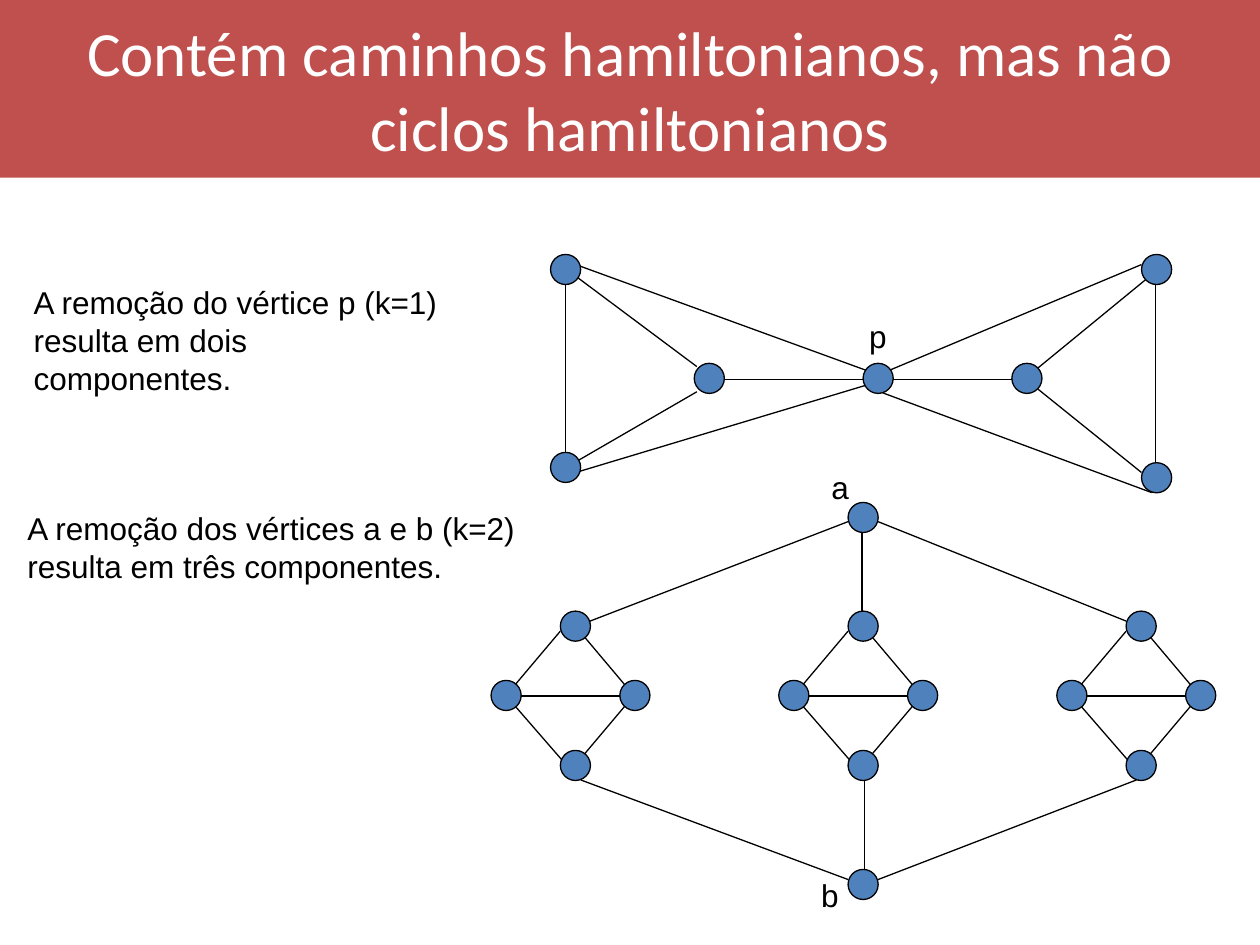
"""Build a slide with two graphs that have Hamiltonian paths but no Hamiltonian cycles."""
from dataclasses import dataclass

from pptx import Presentation
from pptx.dml.color import RGBColor
from pptx.enum.shapes import MSO_CONNECTOR, MSO_SHAPE
from pptx.enum.text import MSO_ANCHOR, MSO_AUTO_SIZE, PP_ALIGN
from pptx.oxml.xmlchemy import OxmlElement
from pptx.util import Pt


@dataclass(frozen=True)
class Theme:
    banner: RGBColor = RGBColor(0xC0, 0x50, 0x4D)
    vertex: RGBColor = RGBColor(0x4F, 0x81, 0xBD)
    ink: RGBColor = RGBColor(0, 0, 0)
    title_ink: RGBColor = RGBColor(0xFF, 0xFF, 0xFF)
    title_font: str = "Calibri"
    body_font: str = "Arial"
    title_size: float = 36
    body_size: float = 18
    line_width: float = 0.74
    vertex_size: float = 17.2


THEME = Theme()

BOW_VERTICES = [
    (314.6, 145.4), (314.6, 258.5), (396.7, 207.6), (493.2, 207.6),
    (578.2, 207.6), (652.3, 145.4), (652.3, 264.4),
]
BOW_EDGES = [
    (323.2, 162, 323.2, 264.2), (329.8, 158.4, 398.2, 209.5),
    (329.8, 263.5, 398.2, 223.9), (414, 216.7, 493.2, 216.7),
    (510.5, 216.7, 578.2, 216.7), (589.7, 213.1, 658.1, 157),
    (593.3, 222.5, 652.3, 270), (660.2, 162, 660.2, 270),
    (499, 218.9, 329, 270), (329, 151.2, 499, 213.1),
    (652.3, 151.2, 504.7, 213.1), (504.7, 224.6, 658.1, 281.5),
]
DIAMOND_LEFTS = [320.2, 484.6, 643.5]
DIAMOND_VERTICES = [(0, 349.2), (-39.6, 388.8), (34, 388.8), (0, 428.8)]
DIAMOND_EDGES = [
    (0, 360.7, -28.6, 394.6), (11, 360.7, 39.6, 394.6),
    (39.6, 400.3, 11, 434.2), (5.8, 439.9, -28.6, 400.3),
    (-28.6, 397.8, 34, 397.8),
]
HUB_VERTICES = [(484.6, 287.1), (484.6, 496.8)]
HUB_EDGES = [
    (484.6, 298.1, 337, 355), (501.8, 298.1, 643.7, 355),
    (484.6, 502.6, 331.9, 445.7), (501.8, 502.6, 649.4, 445.7),
    (493.9, 496.8, 493.9, 445.7), (492.5, 355, 492.5, 303.8),
]
TEXTS = [
    ((489.6, 177.8, 24.5, 28.8), ["p"]),
    ((468, 264.2, 24.5, 28.8), ["a"]),
    ((462.2, 496.8, 24.5, 28.8), ["b"]),
    ((12.2, 158.4, 254.2, 50.4),
     ["A remoção do vértice p (k=1)", "resulta em dois componentes."]),
    ((8.6, 287.3, 293.8, 50.4),
     ["A remoção dos vértices a e b (k=2)", "resulta em três componentes."]),
]


def apply_format(target, values):
    """Set each named attribute on the target."""
    for name, value in values.items():
        setattr(target, name, value)


def write_paragraph(paragraph, text, size, font, color):
    """Write one formatted run into a paragraph."""
    run = paragraph.add_run()
    run.text = text
    apply_format(run.font, {"size": Pt(size), "name": font})
    run.font.color.rgb = color


def fill_title(slide, text):
    """Turn the title placeholder into the banner."""
    title = slide.shapes.title
    apply_format(title, {"left": Pt(0), "top": Pt(0), "width": Pt(720), "height": Pt(101.5)})
    title.fill.solid()
    title.fill.fore_color.rgb = THEME.banner
    frame = title.text_frame
    apply_format(frame, {"vertical_anchor": MSO_ANCHOR.MIDDLE, "word_wrap": True,
                         "auto_size": MSO_AUTO_SIZE.NONE})
    paragraph = frame.paragraphs[0]
    paragraph.alignment = PP_ALIGN.CENTER
    write_paragraph(paragraph, text, THEME.title_size, THEME.title_font, THEME.title_ink)


def style_line(line):
    """Give a line the graph's ink and width."""
    line.color.rgb = THEME.ink
    line.width = Pt(THEME.line_width)


def add_edge(slide, ends):
    """Draw a straight edge between two points."""
    edge = slide.shapes.add_connector(MSO_CONNECTOR.STRAIGHT, *map(Pt, ends))
    style_line(edge.line)
    edge._element.spPr.append(OxmlElement("a:effectLst"))


def add_vertex(slide, left, top):
    """Draw a round vertex."""
    size = Pt(THEME.vertex_size)
    vertex = slide.shapes.add_shape(MSO_SHAPE.OVAL, Pt(left), Pt(top), size, size)
    vertex.shadow.inherit = False
    vertex.fill.solid()
    vertex.fill.fore_color.rgb = THEME.vertex
    style_line(vertex.line)


def add_graph(slide, vertices, edges, offset=0):
    """Draw edges, then vertices, moved right by the offset."""
    for x1, y1, x2, y2 in edges:
        add_edge(slide, (x1 + offset, y1, x2 + offset, y2))
    for left, top in vertices:
        add_vertex(slide, left + offset, top)


def add_text(slide, box, lines):
    """Add an unwrapped text box with one paragraph per line."""
    frame = slide.shapes.add_textbox(*map(Pt, box)).text_frame
    apply_format(frame, {"word_wrap": False, "auto_size": MSO_AUTO_SIZE.SHAPE_TO_FIT_TEXT})
    for index, text in enumerate(lines):
        paragraph = frame.add_paragraph() if index else frame.paragraphs[0]
        write_paragraph(paragraph, text, THEME.body_size, THEME.body_font, THEME.ink)


def main():
    """Build and save the slide."""
    presentation = Presentation()
    apply_format(presentation, {"slide_width": Pt(720), "slide_height": Pt(540)})
    slide = presentation.slides.add_slide(presentation.slide_layouts[5])
    fill_title(slide, "Contém caminhos hamiltonianos, mas não ciclos hamiltonianos")
    add_graph(slide, BOW_VERTICES, BOW_EDGES)
    add_graph(slide, HUB_VERTICES, HUB_EDGES)
    for left in DIAMOND_LEFTS:
        add_graph(slide, DIAMOND_VERTICES, DIAMOND_EDGES, left)
    for box, lines in TEXTS:
        add_text(slide, box, lines)
    presentation.save("out.pptx")


main()
